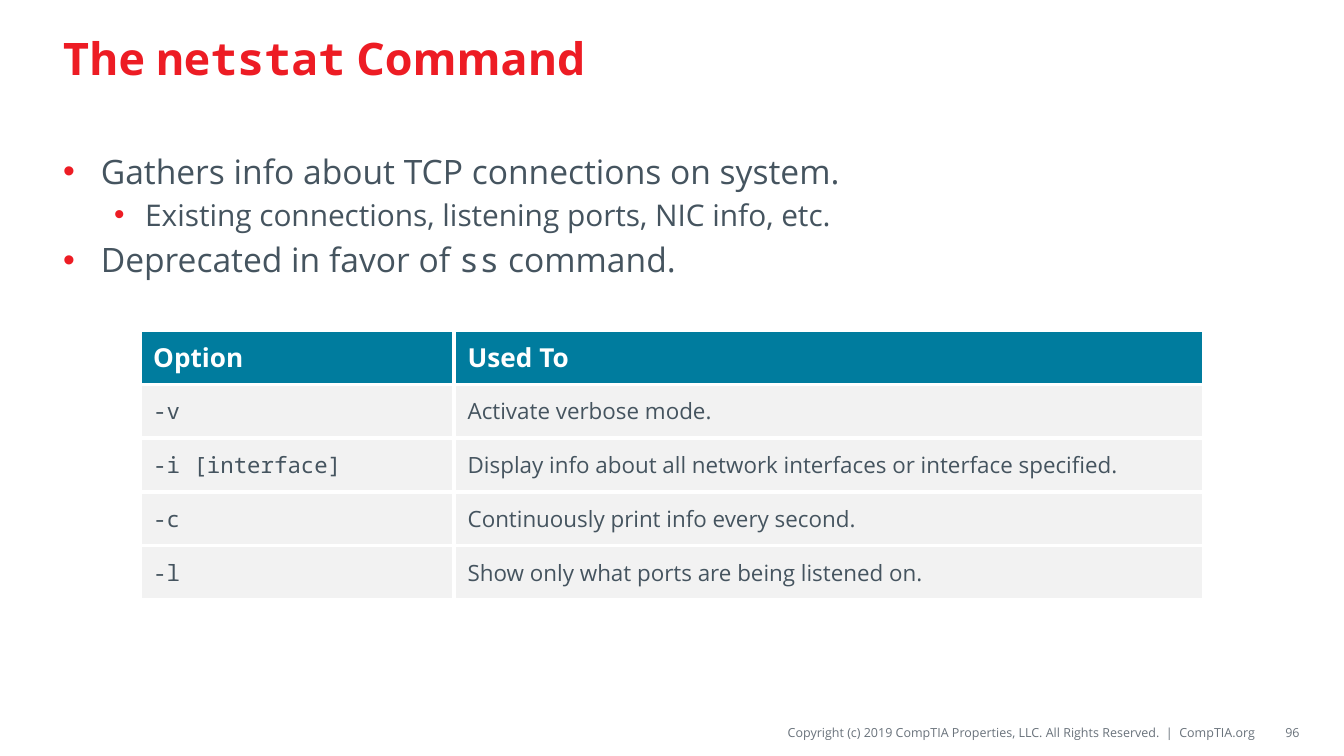
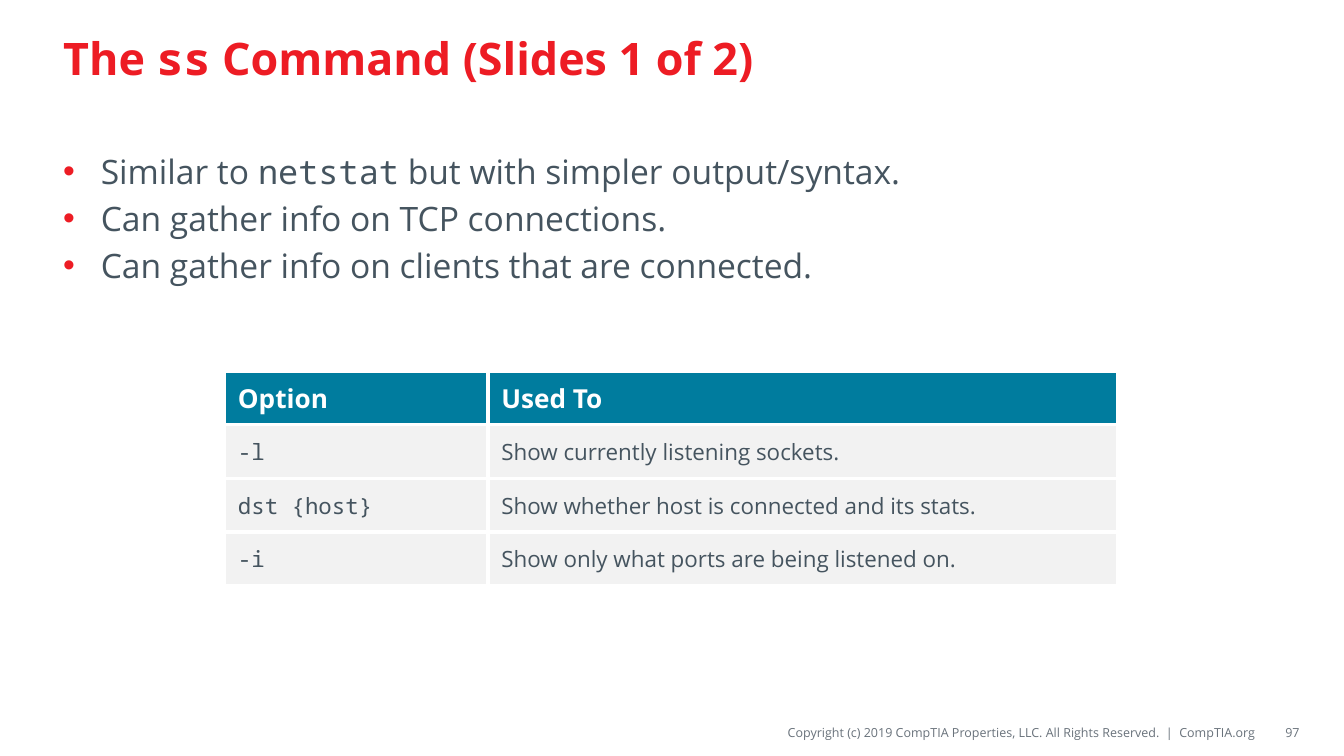
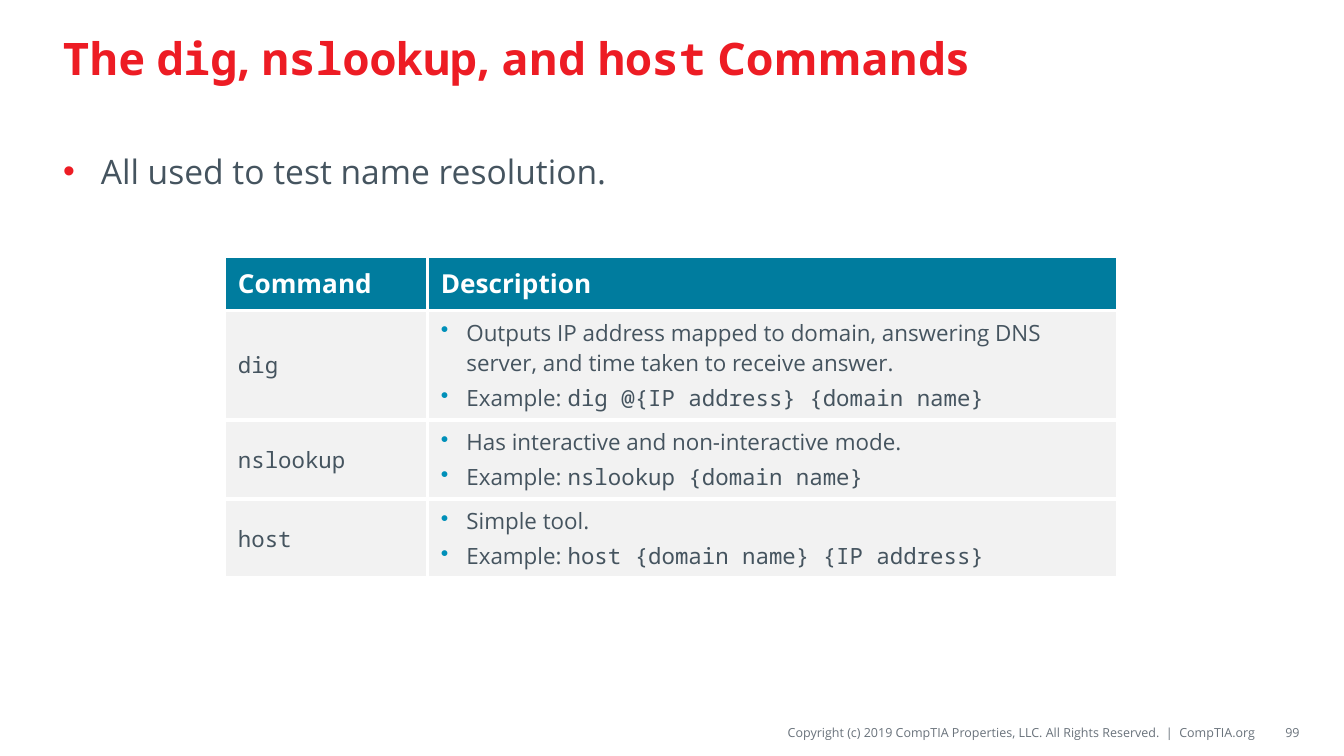
"""Build three slides on Linux network commands."""
from dataclasses import dataclass

from lxml import etree
from pptx import Presentation
from pptx.dml.color import RGBColor
from pptx.enum.text import MSO_ANCHOR, MSO_AUTO_SIZE, PP_ALIGN
from pptx.oxml.ns import qn
from pptx.util import Inches, Pt

MIDDLE, TOP = MSO_ANCHOR.MIDDLE, MSO_ANCHOR.TOP
LEFT, RIGHT = PP_ALIGN.LEFT, PP_ALIGN.RIGHT
FIXED = MSO_AUTO_SIZE.NONE

RED = RGBColor(0xED, 0x1C, 0x24)
SLATE = RGBColor(0x45, 0x54, 0x5F)
GREY = RGBColor(0x69, 0x72, 0x7B)
TEAL = RGBColor(0x00, 0x7C, 0x9E)
BLUE = RGBColor(0x00, 0x90, 0xB9)
PALE = RGBColor(0xF2, 0xF2, 0xF2)
WHITE = RGBColor(0xFF, 0xFF, 0xFF)

SANS, MONO = "Open Sans", "Noto Sans Mono"
LEGAL = "Copyright (c) 2019 CompTIA Properties, LLC. All Rights Reserved.  |  CompTIA.org"
WIDE = 10
ROW = 0.4
GAP = 0.2


@dataclass(frozen=True)
class Style:
    size: float
    color: RGBColor
    bold: bool = False


@dataclass(frozen=True)
class Bullet:
    color: RGBColor
    left: float
    hang: float


@dataclass(frozen=True)
class Item:
    text: str
    level: int = 0


@dataclass(frozen=True)
class Grid:
    left: float
    top: float
    cols: tuple[float, ...]
    rows: tuple[tuple[str | tuple[str, ...], ...], ...]
    highs: tuple[float, ...]


@dataclass(frozen=True)
class Page:
    number: int
    title: str
    items: tuple[Item, ...]
    grid: Grid


TITLE = Style(24, RED, True)
LEVELS = (Style(18, SLATE), Style(16, SLATE))
DOTS = (Bullet(RED, 0.28, 0.28), Bullet(RED, 0.61, 0.23))
HEAD = Style(14, WHITE, True)
CELL = Style(12, SLATE)
CELL_DOT = Bullet(BLUE, 0.19, 0.19)
FOOT = Style(6.7, GREY)

PAGES = (
    Page(
        96,
        "The `netstat` Command",
        (
            Item("Gathers info about TCP connections on system."),
            Item("Existing connections, listening ports, NIC info, etc.", 1),
            Item("Deprecated in favor of `ss` command."),
        ),
        Grid(1.04, 2.46, (2.34, 5.58), (
            ("Option", "Used To"),
            ("`-v`", "Activate verbose mode."),
            ("`-i [interface]`",
             "Display info about all network interfaces or interface specified."),
            ("`-c`", "Continuously print info every second."),
            ("`-l`", "Show only what ports are being listened on."),
        ), (ROW,) * 5),
    ),
    Page(
        97,
        "The `ss` Command (Slides 1 of 2)",
        (
            Item("Similar to `netstat` but with simpler output/syntax."),
            Item("Can gather info on TCP connections."),
            Item("Can gather info on clients that are connected."),
        ),
        Grid(1.67, 2.76, (1.96, 4.69), (
            ("Option", "Used To"),
            ("`-l`", "Show currently listening sockets."),
            ("`dst {host}`", "Show whether host is connected and its stats."),
            ("`-i`", "Show only what ports are being listened on."),
        ), (ROW,) * 4),
    ),
    Page(
        99,
        "The `dig`, `nslookup`, and `host` Commands",
        (Item("All used to test name resolution."),),
        Grid(1.67, 1.91, (1.51, 5.14), (
            ("Command", "Description"),
            ("`dig`", (
                "Outputs IP address mapped to domain, answering DNS server, "
                "and time taken to receive answer.",
                "Example: `dig @{IP address} {domain name}`",
            )),
            ("`nslookup`", (
                "Has interactive and non-interactive mode.",
                "Example: `nslookup {domain name}`",
            )),
            ("`host`", (
                "Simple tool.",
                "Example: `host {domain name} {IP address}`",
            )),
        ), (ROW, 0.81, 0.58, 0.58)),
    ),
)


def write(para, text: str, style: Style) -> None:
    """Add runs to a paragraph, with backticked parts in the mono font."""
    for index, part in enumerate(text.split("`")):
        if part:
            run = para.add_run()
            run.text = part
            font = run.font
            font.name = MONO if index % 2 else SANS
            font.size = Pt(style.size)
            font.bold = style.bold
            font.color.rgb = style.color


def mark(para, dot: Bullet) -> None:
    """Give a paragraph a coloured bullet and a hanging indent."""
    props = para._p.get_or_add_pPr()
    props.set("marL", str(Inches(dot.left)))
    props.set("indent", str(-Inches(dot.hang)))
    tint = etree.SubElement(props, qn("a:buClr"))
    etree.SubElement(tint, qn("a:srgbClr"), val=str(dot.color))
    etree.SubElement(props, qn("a:buChar"), char="•")


def line(frame, index: int, text: str, style: Style, dot: Bullet | None = None):
    """Write one paragraph of a frame, spaced in proportion to its size."""
    para = frame.add_paragraph() if index else frame.paragraphs[0]
    para.space_before = Pt(GAP * style.size if index else 0)
    if dot:
        mark(para, dot)
    write(para, text, style)
    return para


def place(shape, left: float, top: float, width: float, height: float) -> None:
    """Move and size a shape in inches."""
    shape.left, shape.top = Inches(left), Inches(top)
    shape.width, shape.height = Inches(width), Inches(height)


def setup(frame, anchor) -> None:
    """Make a text frame wrap at a fixed size."""
    frame.word_wrap = True
    frame.auto_size = FIXED
    frame.vertical_anchor = anchor


def head(slide, text: str) -> None:
    """Fill the title placeholder."""
    shape = slide.shapes.title
    place(shape, 0.37, 0.08, 9.25, 0.69)
    setup(shape.text_frame, MIDDLE)
    line(shape.text_frame, 0, text, TITLE).alignment = LEFT


def body(slide, items: tuple[Item, ...]) -> None:
    """Fill the body placeholder with a bulleted list."""
    shape = slide.placeholders[1]
    place(shape, 0.37, 1.07, 9.25, 3.9)
    setup(shape.text_frame, TOP)
    for index, item in enumerate(items):
        level = item.level
        para = line(shape.text_frame, index, item.text, LEVELS[level], DOTS[level])
        para.level = level


def note(slide, text: str, left: float, width: float, inset: float, pad: float) -> None:
    """Add a right-aligned footer text."""
    box = slide.shapes.add_textbox(
        Inches(left), Inches(5.34), Inches(width), Inches(0.22))
    frame = box.text_frame
    setup(frame, MIDDLE)
    frame.margin_left, frame.margin_right = Inches(inset), 0
    frame.margin_top = frame.margin_bottom = Inches(pad)
    line(frame, 0, text, FOOT).alignment = RIGHT


def edge(cell) -> None:
    """Draw white borders on all sides of a cell."""
    props = cell._tc.get_or_add_tcPr()
    for side in ("lnL", "lnR", "lnT", "lnB"):
        rule = etree.SubElement(props, qn(f"a:{side}"), w=str(Pt(2.25)))
        fill = etree.SubElement(rule, qn("a:solidFill"))
        etree.SubElement(fill, qn("a:srgbClr"), val=str(WHITE))


def table(slide, grid: Grid) -> None:
    """Add a table with a coloured header row."""
    shape = slide.shapes.add_table(
        len(grid.rows), len(grid.cols), Inches(grid.left), Inches(grid.top),
        Inches(sum(grid.cols)), Inches(sum(grid.highs)))
    tab = shape.table
    tab.horz_banding = False
    for col, width in zip(tab.columns, grid.cols):
        col.width = Inches(width)
    for count, (row, high, texts) in enumerate(zip(tab.rows, grid.highs, grid.rows)):
        row.height = Inches(high)
        style, color = (CELL, PALE) if count else (HEAD, TEAL)
        for cell, text in zip(row.cells, texts):
            edge(cell)
            cell.fill.solid()
            cell.fill.fore_color.rgb = color
            cell.vertical_anchor = MIDDLE
            parts, dot = (text, CELL_DOT) if isinstance(text, tuple) else ((text,), None)
            for index, part in enumerate(parts):
                line(cell.text_frame, index, part, style, dot)


def main() -> None:
    """Build and save the deck."""
    deck = Presentation()
    deck.slide_width, deck.slide_height = Inches(WIDE), Inches(WIDE * 9 / 16)
    for page in PAGES:
        slide = deck.slides.add_slide(deck.slide_layouts[1])
        head(slide, page.title)
        body(slide, page.items)
        table(slide, page.grid)
        note(slide, LEGAL, 3.88, 5.47, 0, 0.04)
        note(slide, str(page.number), 9.38, 0.29, 0.1, 0.05)
    deck.save("out.pptx")


if __name__ == "__main__":
    main()
